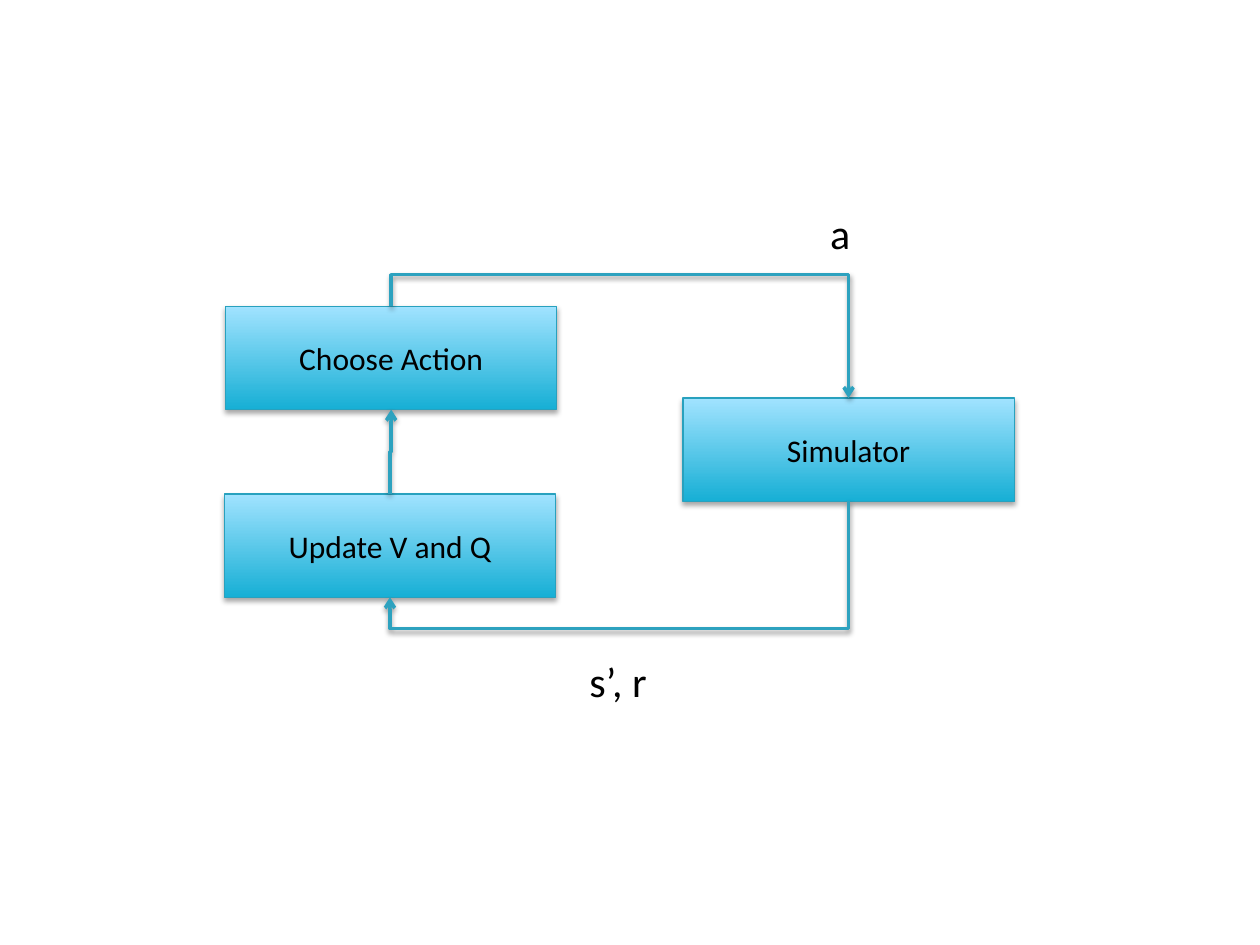
from dataclasses import dataclass

from lxml.etree import SubElement
from pptx import Presentation
from pptx.dml.color import RGBColor
from pptx.enum.shapes import MSO_CONNECTOR, MSO_SHAPE
from pptx.enum.text import MSO_ANCHOR, MSO_AUTO_SIZE, PP_ALIGN
from pptx.oxml.ns import qn
from pptx.util import Inches, Pt

TOP, BOTTOM = 0, 2  # connection sites of a rectangle


@dataclass(frozen=True)
class Theme:
    font: str = "Calibri"
    text: RGBColor = RGBColor(0x00, 0x00, 0x00)
    shadow: str = "000000"
    box_dark: RGBColor = RGBColor(0x17, 0xAF, 0xD5)
    box_light: RGBColor = RGBColor(0xA1, 0xE3, 0xFF)
    box_border: RGBColor = RGBColor(0x28, 0xA1, 0xBE)
    arrow: RGBColor = RGBColor(0x2D, 0xA2, 0xBF)
    box_size: int = 18
    label_size: int = 24
    border_width: float = 0.75
    arrow_width: float = 2


def write_text(frame, text, *, font, size, color, align=PP_ALIGN.LEFT):
    paragraph = frame.paragraphs[0]
    paragraph.alignment = align
    run = paragraph.add_run()
    run.text = text
    run.font.name = font
    run.font.size = Pt(size)
    run.font.color.rgb = color


def cast_shadow(effects, color, *, distance, opacity):
    """Fill an effect list with a soft shadow that falls straight down."""
    shadow = SubElement(effects, qn("a:outerShdw"), blurRad=str(Pt(3.1)),
                        dist=str(Pt(distance)), dir="5400000", rotWithShape="0")
    tint = SubElement(shadow, qn("a:srgbClr"), val=color)
    SubElement(tint, qn("a:alpha"), val=str(opacity * 1000))


def site_point(box, site):
    return box.left + box.width // 2, box.top + (box.height if site == BOTTOM else 0)


class DiagramSlide:
    def __init__(self, slide, theme):
        self.slide = slide
        self.theme = theme

    def box(self, text, left, top, width=2.63, height=0.82):
        theme = self.theme
        box = self.slide.shapes.add_shape(
            MSO_SHAPE.RECTANGLE, Inches(left), Inches(top), Inches(width), Inches(height))
        box.fill.gradient()
        box.fill.gradient_angle = 90
        for stop, color in zip(box.fill.gradient_stops, (theme.box_dark, theme.box_light)):
            stop.color.rgb = color
        box.line.color.rgb = theme.box_border
        box.line.width = Pt(theme.border_width)
        box.shadow.inherit = False
        cast_shadow(box._element.spPr.find(qn("a:effectLst")), theme.shadow,
                    distance=1.8, opacity=35)
        box.text_frame.vertical_anchor = MSO_ANCHOR.MIDDLE
        write_text(box.text_frame, text, font=theme.font, size=theme.box_size,
                   color=theme.text, align=PP_ALIGN.CENTER)
        return box

    def label(self, text, left, top, width, height=0.5):
        theme = self.theme
        frame = self.slide.shapes.add_textbox(
            Inches(left), Inches(top), Inches(width), Inches(height)).text_frame
        frame.word_wrap = False
        frame.auto_size = MSO_AUTO_SIZE.SHAPE_TO_FIT_TEXT
        write_text(frame, text, font=theme.font, size=theme.label_size, color=theme.text)

    def arrow(self, source, source_site, target, target_site, bend_y=None):
        """Join two boxes by an elbow that leaves and arrives vertically.

        bend_y is the height of the level stretch, halfway if not given.
        """
        theme = self.theme
        x1, y1 = site_point(source, source_site)
        x2, y2 = site_point(target, target_site)
        arrow = self.slide.shapes.add_connector(MSO_CONNECTOR.ELBOW, x1, y1, x2, y2)
        arrow.begin_connect(source, source_site)
        arrow.end_connect(target, target_site)

        # A turned elbow: its own width runs down the slide, its height across.
        run, rise = abs(x2 - x1), abs(y2 - y1)
        arrow.left, arrow.top = (x1 + x2 - rise) // 2, (y1 + y2 - run) // 2
        arrow.width, arrow.height = rise, run
        rightward, downward = x2 > x1, y2 > y1
        properties = arrow._element.spPr
        frame = properties.find(qn("a:xfrm"))
        frame.set("rot", str((270 if rightward else 90) * 60000))
        frame.set("flipH", "1" if rightward == downward else "0")
        frame.set("flipV", "0")
        bend = 0.5 if bend_y is None else (Inches(bend_y) - y1) / (y2 - y1)
        guides = properties.find(qn("a:prstGeom")).get_or_add_avLst()
        SubElement(guides, qn("a:gd"), name="adj1", fmla=f"val {round(bend * 100000)}")

        arrow.line.color.rgb = theme.arrow
        arrow.line.width = Pt(theme.arrow_width)
        SubElement(properties.find(qn("a:ln")), qn("a:tailEnd"), type="arrow")
        cast_shadow(SubElement(properties, qn("a:effectLst")), theme.shadow,
                    distance=1.6, opacity=38)


def main():
    presentation = Presentation()
    presentation.slide_width, presentation.slide_height = Inches(10), Inches(7.5)
    slide = presentation.slides.add_slide(presentation.slide_layouts[6])
    diagram = DiagramSlide(slide, Theme())

    choose_action = diagram.box("Choose Action", 1.79, 2.43)
    update_values = diagram.box("Update V and Q", 1.78, 3.92)
    simulator = diagram.box("Simulator", 5.42, 3.16)

    diagram.arrow(simulator, BOTTOM, update_values, BOTTOM, bend_y=4.99)
    diagram.arrow(update_values, TOP, choose_action, BOTTOM)
    diagram.arrow(choose_action, TOP, simulator, TOP, bend_y=2.18)

    diagram.label("a", 6.49, 1.6, 0.36)
    diagram.label("s’, r", 4.58, 5.15, 0.66)

    presentation.save("out.pptx")


if __name__ == "__main__":
    main()
